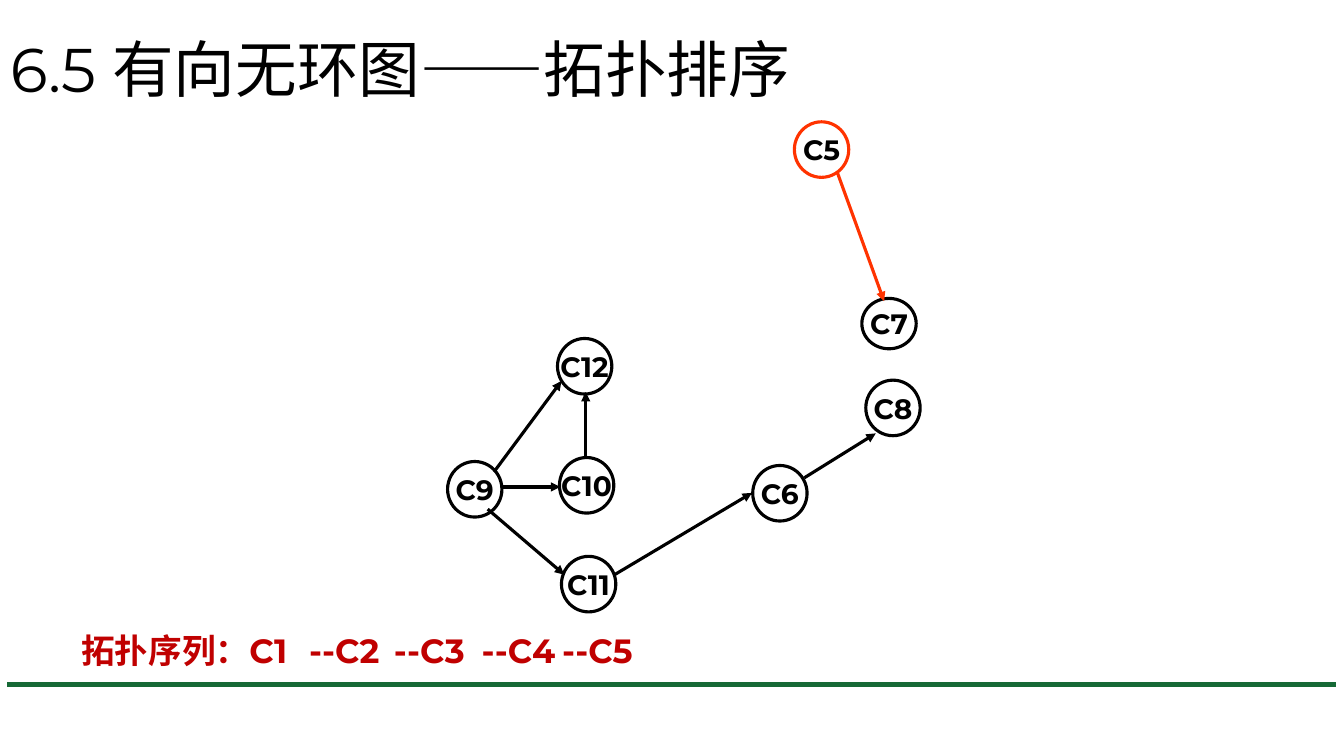
"""Build the topological sorting slide with its graph and resulting sequence."""
from dataclasses import dataclass

from lxml import etree
from pptx import Presentation
from pptx.dml.color import RGBColor
from pptx.enum.shapes import MSO_CONNECTOR, MSO_SHAPE
from pptx.enum.text import MSO_ANCHOR, MSO_AUTO_SIZE, PP_ALIGN
from pptx.oxml.ns import qn
from pptx.slide import Slide
from pptx.text.text import TextFrame
from pptx.util import Cm, Pt

STRAIGHT = MSO_CONNECTOR.STRAIGHT
OVAL = MSO_SHAPE.OVAL
MIDDLE = MSO_ANCHOR.MIDDLE
LEFT = PP_ALIGN.LEFT
CENTER = PP_ALIGN.CENTER
NO_AUTOFIT = MSO_AUTO_SIZE.NONE
GROW = MSO_AUTO_SIZE.SHAPE_TO_FIT_TEXT

FONT = "Montserrat"
BLACK = "000000"
ORANGE = "FF3300"
RED = "C00000"
GREEN = "166936"
TITLE_ONLY = 5
TITLE = "6.5 有向无环图——拓扑排序"


@dataclass
class Node:
    name: str
    left: float
    top: float
    height: float = 1.4
    color: str = BLACK


@dataclass
class Line:
    start: tuple[float, float]
    end: tuple[float, float]
    color: str = BLACK
    width: float = 2.25
    arrow: bool = True


@dataclass
class Label:
    text: str
    left: float
    width: float


NODES = [
    Node("C5", 20.02, 3.07, color=ORANGE),
    Node("C6", 18.97, 11.73),
    Node("C7", 21.72, 7.52, height=1.27),
    Node("C8", 21.82, 9.58),
    Node("C9", 11.28, 11.63),
    Node("C10", 14.1, 11.53),
    Node("C11", 14.15, 14.02),
    Node("C12", 14.05, 8.53),
]
LINES = [
    Line((0.18, 17.25), (33.68, 17.25), GREEN, 3.75, arrow=False),
    Line((21.11, 4.37), (22.28, 7.59), ORANGE),
    Line((12.45, 11.89), (14.15, 9.6)),
    Line((12.65, 12.27), (14.12, 12.27)),
    Line((14.76, 11.53), (14.76, 9.88)),
    Line((12.29, 12.83), (14.22, 14.48)),
    Line((15.49, 14.48), (18.95, 12.42)),
    Line((20.27, 12.04), (22.07, 10.92)),
]
LABELS = [
    Label("拓扑序列：C1", 1.8, 6.12),
    Label("--C2", 7.54, 3.12),
    Label("--C3", 9.68, 3.25),
    Label("--C4", 11.89, 2.74),
    Label("--C5", 13.92, 2.74),
]


def rgb(color: str) -> RGBColor:
    """Turn a hex string into a colour."""
    return RGBColor.from_string(color)


def write(frame: TextFrame, text: str, size: float, color: str, bold: bool, align: PP_ALIGN) -> None:
    """Put one formatted paragraph into a text frame."""
    frame.text = text
    para = frame.paragraphs[0]
    para.alignment = align
    for span in para.runs:
        span.font.name = FONT
        span.font.size = Pt(size)
        span.font.bold = bold
        span.font.color.rgb = rgb(color)


def add_title(page: Slide) -> None:
    """Place and format the title placeholder."""
    title = page.shapes.title
    title.left, title.top, title.width, title.height = Cm(0), Cm(0), Cm(29.21), Cm(3.68)
    frame = title.text_frame
    write(frame, TITLE, 44, BLACK, False, LEFT)
    frame.auto_size = NO_AUTOFIT
    frame.vertical_anchor = MIDDLE
    frame.paragraphs[0].line_spacing = 0.9


def add_node(page: Slide, node: Node) -> None:
    """Draw a graph node as an outlined ellipse."""
    shape = page.shapes.add_shape(OVAL, Cm(node.left), Cm(node.top), Cm(1.37), Cm(node.height))
    shape.shadow.inherit = False
    shape.fill.background()
    shape.line.color.rgb = rgb(node.color)
    shape.line.width = Pt(2.25)
    frame = shape.text_frame
    write(frame, node.name, 20, BLACK, True, CENTER)
    frame.word_wrap = False
    frame.vertical_anchor = MIDDLE


def add_line(page: Slide, line: Line) -> None:
    """Draw a straight line, with an arrowhead when asked."""
    points = [Cm(value) for value in (*line.start, *line.end)]
    connector = page.shapes.add_connector(STRAIGHT, *points)
    connector.line.color.rgb = rgb(line.color)
    connector.line.width = Pt(line.width)
    if line.arrow:
        outline = connector.line._get_or_add_ln()
        etree.SubElement(outline, qn("a:tailEnd"), type="triangle")
    etree.SubElement(connector._element.spPr, qn("a:effectLst"))


def add_label(page: Slide, label: Label) -> None:
    """Add one piece of the sorted sequence."""
    box = page.shapes.add_textbox(Cm(label.left), Cm(15.65), Cm(label.width), Cm(1.32))
    frame = box.text_frame
    write(frame, label.text, 24, RED, True, LEFT)
    frame.word_wrap = True
    frame.auto_size = GROW
    para = frame.paragraphs[0]
    para.line_spacing = 1.1
    para.space_before = Pt(4.8)


def main() -> None:
    """Build and save the deck."""
    deck = Presentation()
    deck.slide_width, deck.slide_height = Cm(33.87), Cm(19.05)
    page = deck.slides.add_slide(deck.slide_layouts[TITLE_ONLY])
    add_title(page)
    for node in NODES:
        add_node(page, node)
    for line in LINES:
        add_line(page, line)
    for label in LABELS:
        add_label(page, label)
    deck.save("out.pptx")


if __name__ == "__main__":
    main()
